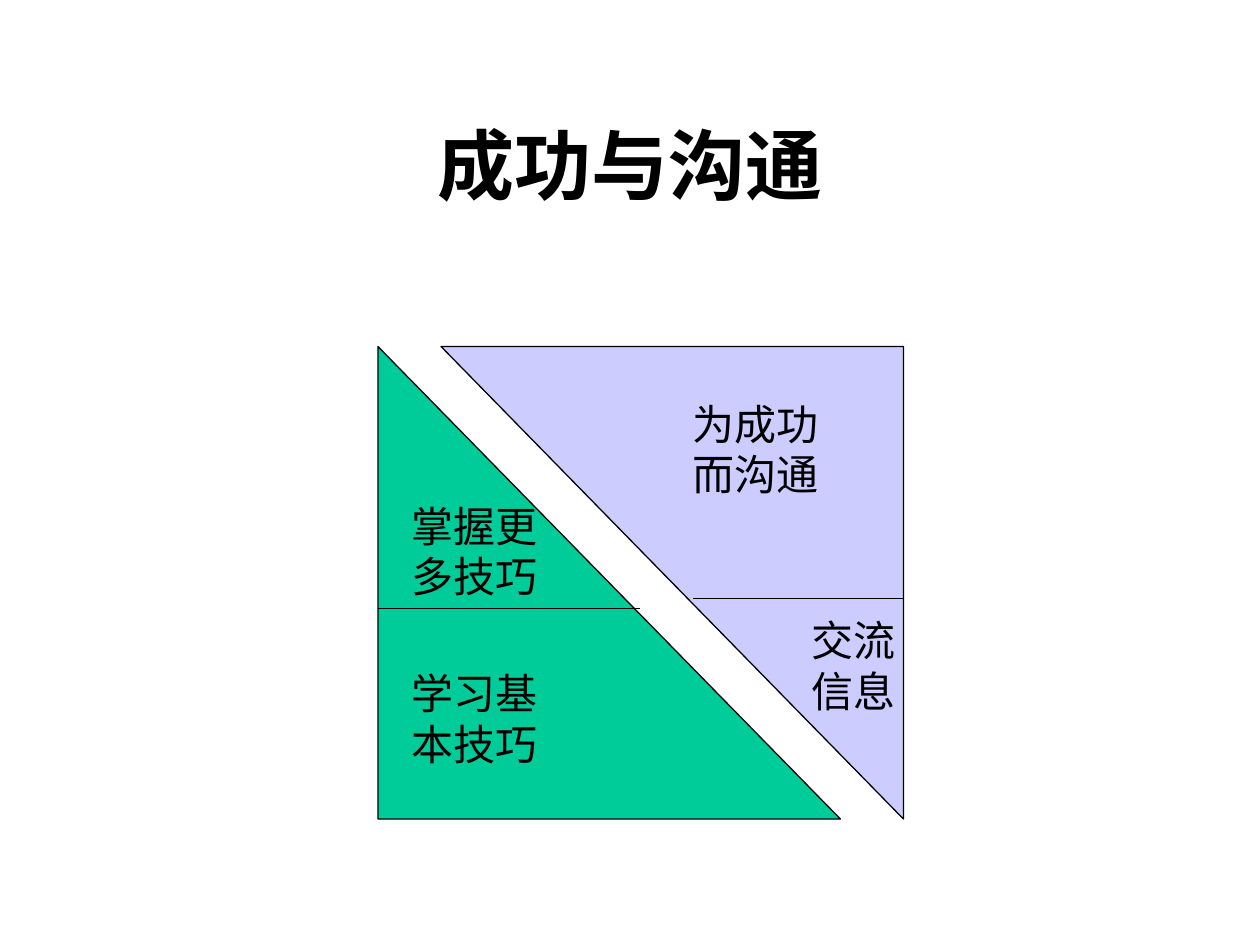
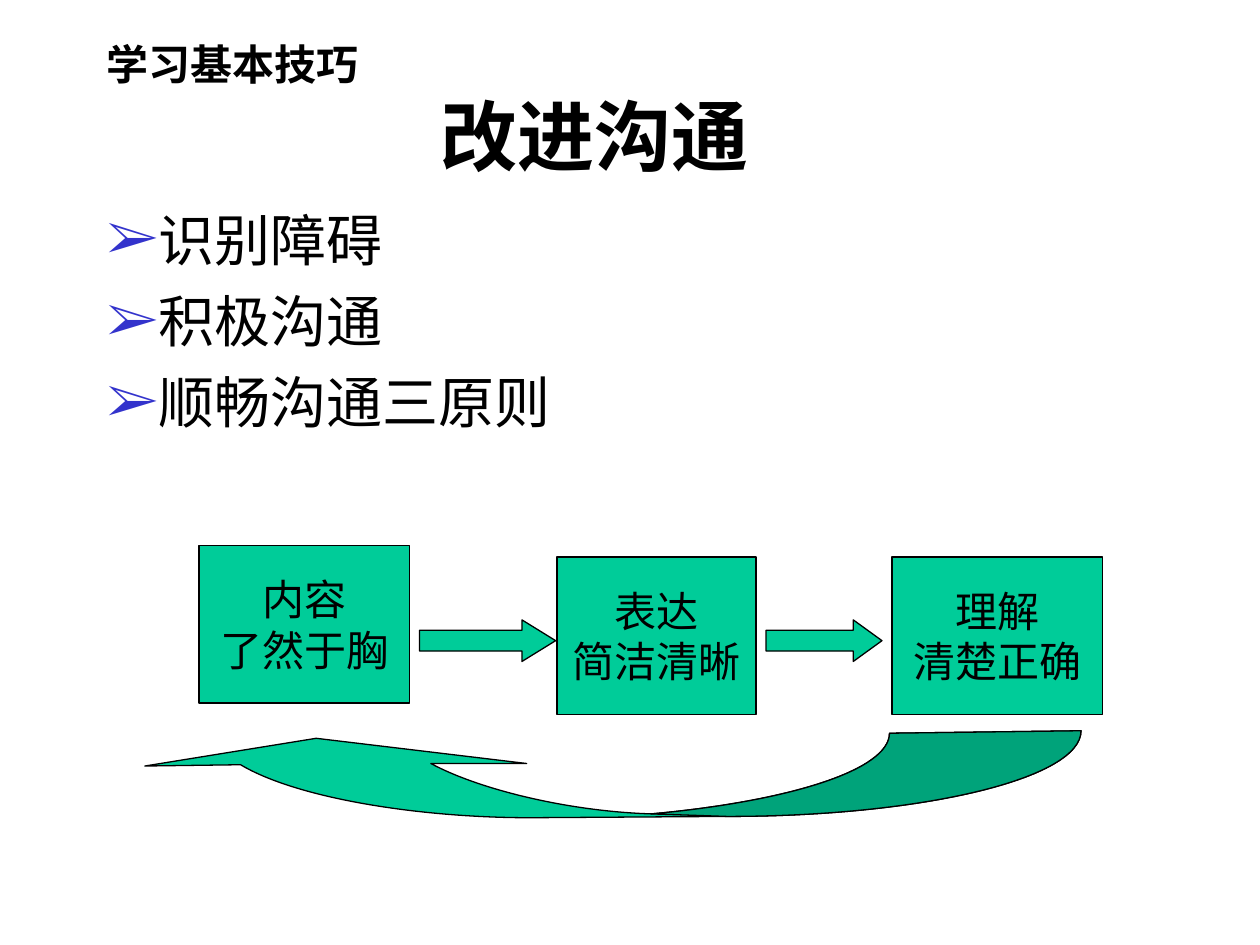
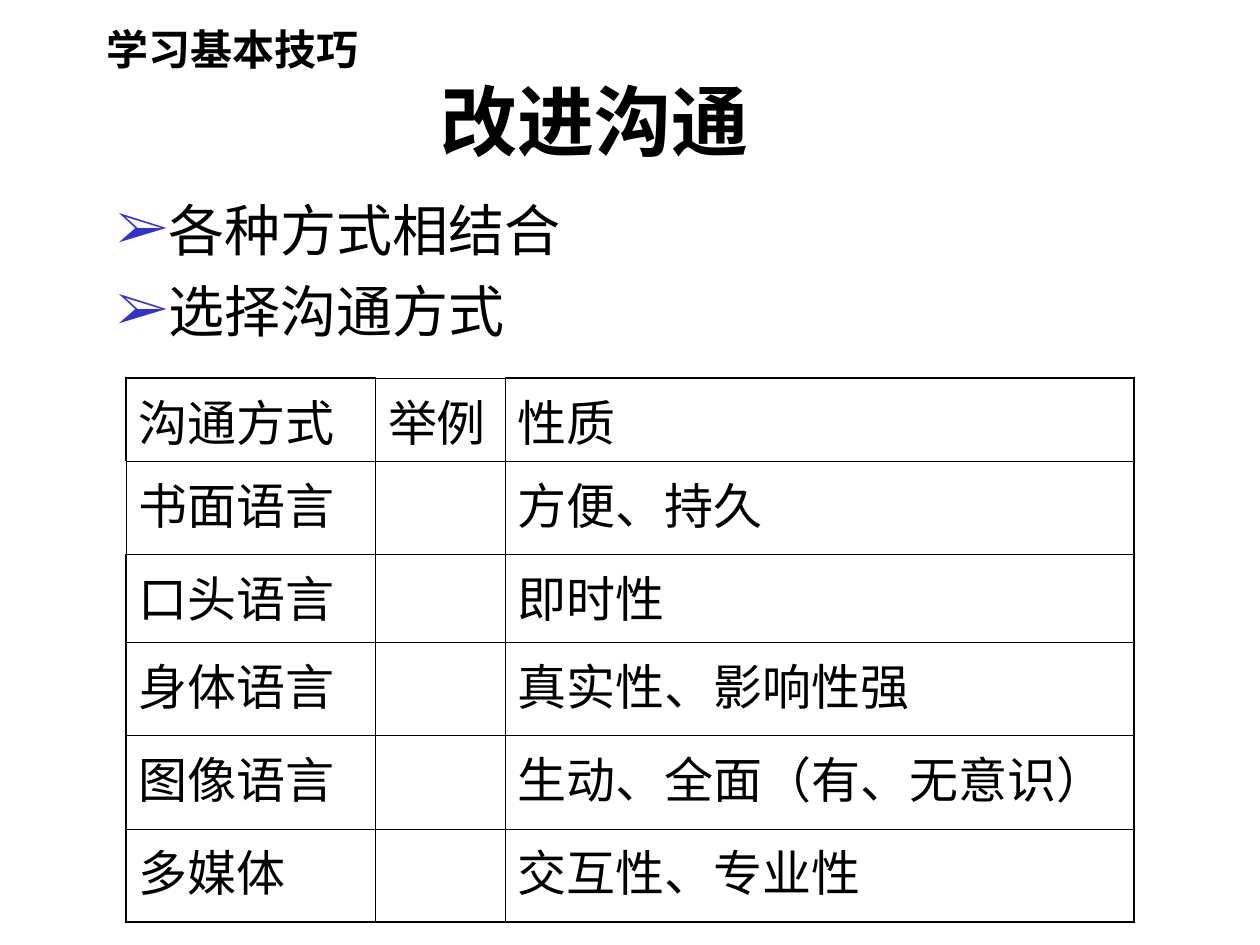
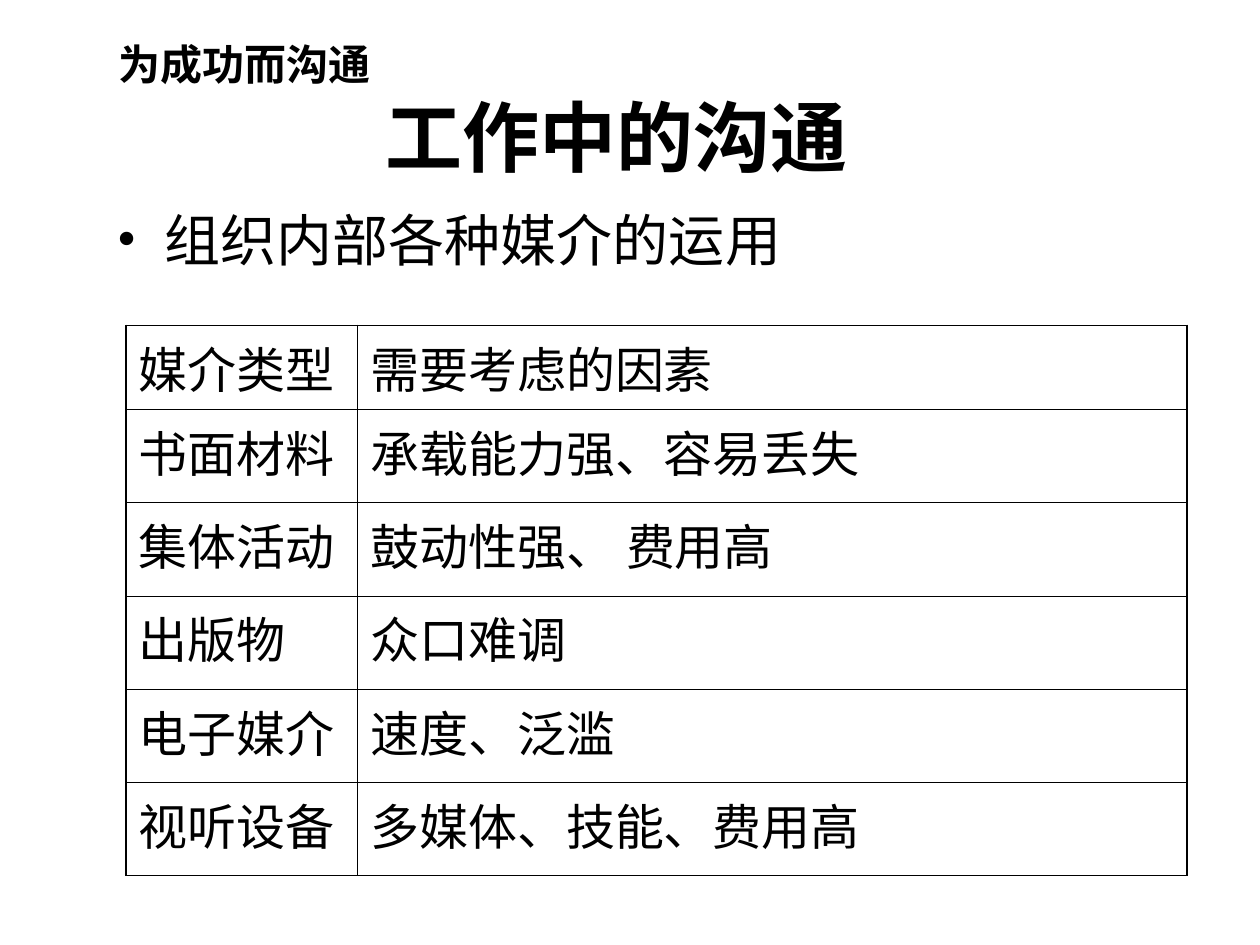
import copy

from lxml import etree
from pptx import Presentation
from pptx.dml.color import RGBColor
from pptx.enum import lang, shapes, text
from pptx.oxml import ns
from pptx.util import Inches, Pt

FONT = "Times New Roman"
COLORS = {"ink": "000000", "green": "00CC99", "lilac": "CCCCFF", "bullet blue": "3333CC"}
THIN, THICK = 0.45, 1.08
ARROW = "➢"

TRIANGLES = [  # left, colour, rotation
    (3, "green", 0),
    (3.5, "lilac", 180),
]
TRIANGLE_LABELS = [
    ((3.17, 5.25, 1.2, 0.9), ["学习基", "本技巧"]),
    ((3.17, 3.92, 1.2, 0.9), ["掌握更", "多技巧"]),
    ((6.34, 4.83, 0.9, 0.9), ["交流", "信息"]),
    ((5.4, 3.11, 1.2, 0.9), ["为成功", "而沟通"]),
]
DIVIDERS = [(3, 5.08, 4.83), (5.5, 7.17, 4.75)]  # from x, to x, y

STEPS = [
    ((1.58, 4.33, 1.67, 1.25), ["内容", "了然于胸"]),
    ((4.42, 4.42, 1.58, 1.25), ["表达", "简洁清晰"]),
    ((7.08, 4.42, 1.67, 1.25), ["理解", "清楚正确"]),
]
STEP_ARROWS = [((3.33, 4.92, 1.08, 0.33), 0.81), ((6.08, 4.92, 0.92, 0.33), 0.69)]

# Feedback arrow: one point is a straight line, three points are a cubic curve
FEEDBACK_START = (8.58, 5.8)
OUTER_RIGHT = [(8.58, 6.18), (7.32, 6.48), (5.77, 6.48)]
LEFT_PART = [
    [(4.29, 6.49)],
    [(3.41, 6.5), (2.38, 6.35), (1.91, 6.07)],
    [(1.15, 6.08)],
    [(2.51, 5.86)],
    [(4.18, 6.06)],
    [(3.42, 6.06)],
    [(3.81, 6.27), (4.52, 6.44), (5.17, 6.46)],
]
INNER_RIGHT = [(6.27, 6.36), (7.06, 6.11), (7.06, 5.82)]

METHODS = {
    "at": (1, 3),
    "columns": [1.98, 1.03, 4.99],
    "heights": [0.66, 0.74, 0.7, 0.74, 0.74, 0.74],
    "rows": [
        ("沟通方式", "举例", "性质"),
        ("书面语言", "", "方便、持久"),
        ("口头语言", "", "即时性"),
        ("身体语言", "", "真实性、影响性强"),
        ("图像语言", "", "生动、全面（有、无意识）"),
        ("多媒体", "", "交互性、专业性"),
    ],
    "thin edges": {(0, 1, "T"), (1, 0, "L")},
}
MEDIA = {
    "at": (1, 2.58),
    "columns": [1.84, 6.58],
    "heights": [0.67] + [0.74] * 5,
    "rows": [
        ("媒介类型", "需要考虑的因素"),
        ("书面材料", "承载能力强、容易丢失"),
        ("集体活动", "鼓动性强、 费用高"),
        ("出版物", "众口难调"),
        ("电子媒介", "速度、泛滥"),
        ("视听设备", "多媒体、技能、费用高"),
    ],
    "thin edges": {(0, 0, "T"), (0, 1, "T")},
}


def rgb(name):
    return RGBColor.from_string(COLORS[name])


def box(at):
    return [Inches(value) for value in at]


def add_element(parent, tag, **attributes):
    return etree.SubElement(parent, ns.qn(tag), attributes)


def write(frame, lines, size=24, bold=False, align="LEFT", anchor="TOP", wrap=True,
          bullet=None, bullet_color="ink", space=0):
    """Fill a text frame with one paragraph a line."""
    frame.word_wrap = wrap
    frame.vertical_anchor = text.MSO_ANCHOR[anchor]
    for index, line in enumerate(lines):
        paragraph = frame.paragraphs[0] if index == 0 else frame.add_paragraph()
        if bullet:
            properties = paragraph._p.get_or_add_pPr()
            properties.set("marL", str(Inches(0.38)))
            properties.set("indent", str(-Inches(0.38)))
            color = add_element(properties, "a:buClr")
            add_element(color, "a:srgbClr", val=COLORS[bullet_color])
            add_element(properties, "a:buFont", typeface=FONT)
            add_element(properties, "a:buChar", char=bullet)
        paragraph.alignment = text.PP_ALIGN[align]
        if index and space:
            paragraph.space_before = Pt(space)
        run = paragraph.add_run()
        run.text = line
        font = run.font
        font.name, font.size, font.bold = FONT, Pt(size), bold
        font.color.rgb = rgb("ink")
        font.language_id = lang.MSO_LANGUAGE_ID.SIMPLIFIED_CHINESE


def add_text(slide, at, lines, **style):
    frame = slide.shapes.add_textbox(*box(at)).text_frame
    write(frame, lines, **style)
    return frame


def add_heading(slide, at, topic, title, indent):
    frame = add_text(slide, at, [topic, title], bold=True, anchor="MIDDLE")
    paragraph = frame.paragraphs[1]
    paragraph._p.get_or_add_pPr().set("marL", str(Inches(indent)))
    paragraph.runs[0].font.size = Pt(44)


def add_bullets(slide, at, lines, bullet=ARROW, bullet_color="bullet blue"):
    add_text(slide, at, lines, size=32, bullet=bullet, bullet_color=bullet_color, space=8)


def paint(shape, color):
    shape.shadow.inherit = False
    shape.fill.solid()
    shape.fill.fore_color.rgb = rgb(color)
    shape.line.color.rgb = rgb("ink")
    shape.line.width = Pt(0.75)
    return shape


def add_shape(slide, kind, at, color):
    return paint(slide.shapes.add_shape(shapes.MSO_SHAPE[kind], *box(at)), color)


def add_divider(slide, x1, x2, y):
    line = slide.shapes.add_connector(shapes.MSO_CONNECTOR.STRAIGHT, *box((x1, y, x2, y)))
    line.line.color.rgb = rgb("ink")
    line.line.width = Pt(0.75)
    add_element(line._element.spPr, "a:effectLst")


def bend(contour, segments):
    """Turn each run of three line points into one cubic curve."""
    lines = iter(contour.findall(ns.qn("a:lnTo")))
    for segment in segments:
        parts = [next(lines) for _ in segment]
        if len(parts) == 3:
            cubic = etree.Element(ns.qn("a:cubicBezTo"))
            parts[0].addprevious(cubic)
            for part in parts:
                cubic.append(part[0])
                contour.remove(part)


def add_feedback_arrow(slide):
    segments = [OUTER_RIGHT, *LEFT_PART, INNER_RIGHT]
    builder = slide.shapes.build_freeform(*box(FEEDBACK_START))
    builder.add_line_segments([box(point) for segment in segments for point in segment])
    shape = paint(builder.convert_to_shape(), "green")
    whole = next(shape._element.iter(ns.qn("a:path")))
    add_element(whole, "a:close")

    shaded = copy.deepcopy(whole)
    shaded.set("fill", "darkenLess")
    lines = shaded.findall(ns.qn("a:lnTo"))
    for line in lines[len(OUTER_RIGHT):-len(INNER_RIGHT) - 1]:
        shaded.remove(line)
    whole.addnext(shaded)
    bend(whole, segments)
    bend(shaded, [OUTER_RIGHT, LEFT_PART[-1][-1:], INNER_RIGHT])


def add_grid(slide, content):
    rows, columns, heights = content["rows"], content["columns"], content["heights"]
    frame = slide.shapes.add_table(len(rows), len(columns),
                                   *box((*content["at"], sum(columns), sum(heights))))
    table = frame.table
    table.first_row = table.horz_banding = False
    for column, width in zip(table.columns, columns):
        column.width = Inches(width)
    for r, values in enumerate(rows):
        table.rows[r].height = Inches(heights[r])
        for c, value in enumerate(values):
            cell = table.cell(r, c)
            cell.margin_left = cell.margin_right = Inches(0.1)
            cell.margin_top = cell.margin_bottom = Inches(0.05)
            if value:
                write(cell.text_frame, [value], size=28)
            outer = {"L": c == 0, "R": c == len(columns) - 1,
                     "T": r == 0, "B": r == len(rows) - 1}
            for side, is_outer in outer.items():
                thick = is_outer and (r, c, side) not in content["thin edges"]
                border = add_element(cell._tc.get_or_add_tcPr(), f"a:ln{side}",
                                     w=str(Pt(THICK if thick else THIN)))
                fill = add_element(border, "a:solidFill")
                add_element(fill, "a:srgbClr", val=COLORS["ink"])
            cell.fill.background()


def build_success(slide):
    add_text(slide, (0.75, 0.67, 8.5, 1.25), ["成功与沟通"], size=44, bold=True,
             align="CENTER", anchor="MIDDLE")
    for left, color, rotation in TRIANGLES:
        triangle = add_shape(slide, "RIGHT_TRIANGLE", (left, 2.75, 3.67, 3.75), color)
        triangle.rotation = rotation
    for divider in DIVIDERS:
        add_divider(slide, *divider)
    for at, lines in TRIANGLE_LABELS:
        frame = add_text(slide, at, lines, wrap=False)
        frame.auto_size = text.MSO_AUTO_SIZE.SHAPE_TO_FIT_TEXT


def build_steps(slide):
    add_heading(slide, (0.75, 0.33, 8.5, 1.08), "学习基本技巧", "改进沟通", 2.65)
    add_bullets(slide, (0.75, 1.58, 8.5, 5.08), ["识别障碍", "积极沟通", "顺畅沟通三原则"])
    for at, lines in STEPS:
        step = add_shape(slide, "RECTANGLE", at, "green")
        write(step.text_frame, lines, align="CENTER", anchor="MIDDLE", wrap=False)
    for at, head in STEP_ARROWS:
        add_shape(slide, "RIGHT_ARROW", at, "green").adjustments[1] = head
    add_feedback_arrow(slide)


def build_methods(slide):
    add_heading(slide, (0.75, 0.25, 8.5, 1), "学习基本技巧", "改进沟通", 2.65)
    add_bullets(slide, (0.83, 1.5, 8.5, 3.08), ["各种方式相结合", "选择沟通方式"])
    add_grid(slide, METHODS)


def build_media(slide):
    add_heading(slide, (0.84, 0.25, 8.5, 1.25), "为成功而沟通", "工作中的沟通", 2.12)
    add_bullets(slide, (0.83, 1.58, 8.5, 4.5), ["组织内部各种媒介的运用"],
                bullet="•", bullet_color="ink")
    add_grid(slide, MEDIA)


def main():
    presentation = Presentation()
    presentation.slide_width, presentation.slide_height = Inches(10), Inches(7.5)
    for build in (build_success, build_steps, build_methods, build_media):
        build(presentation.slides.add_slide(presentation.slide_layouts[6]))
    presentation.save("out.pptx")


if __name__ == "__main__":
    main()
